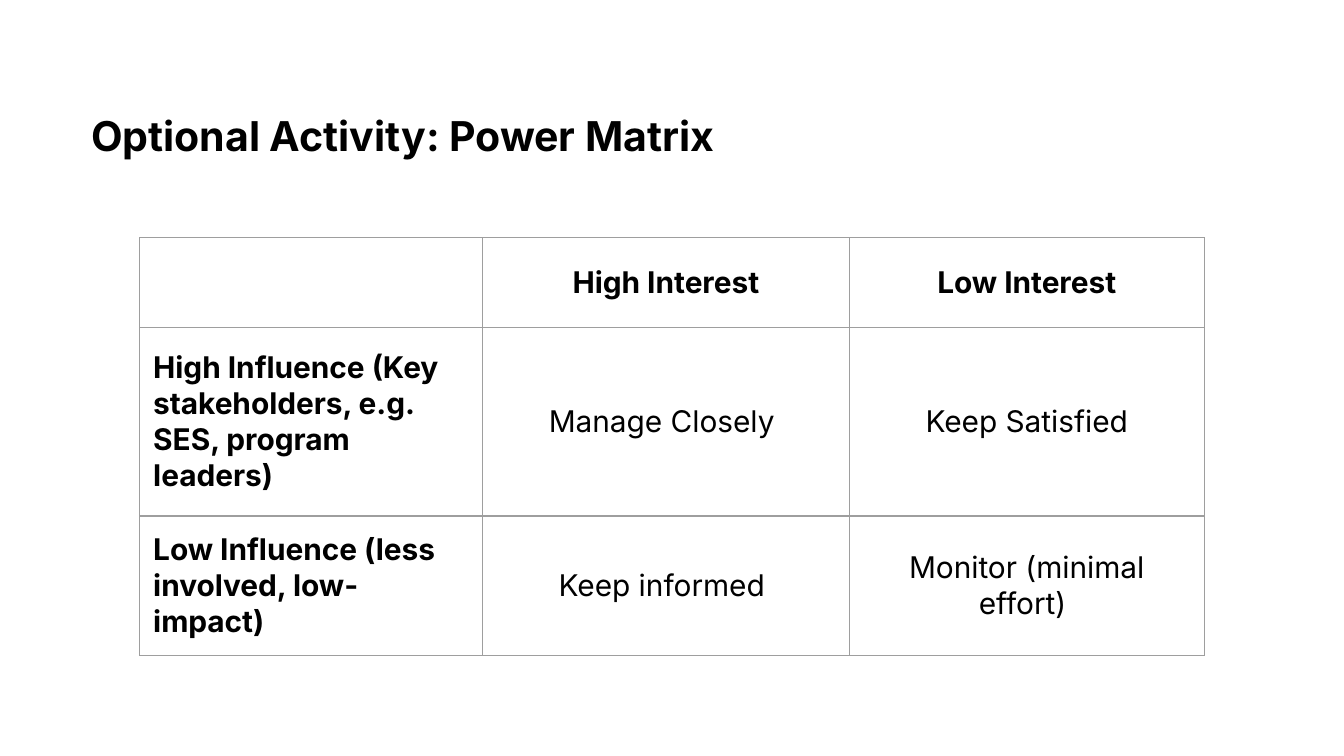
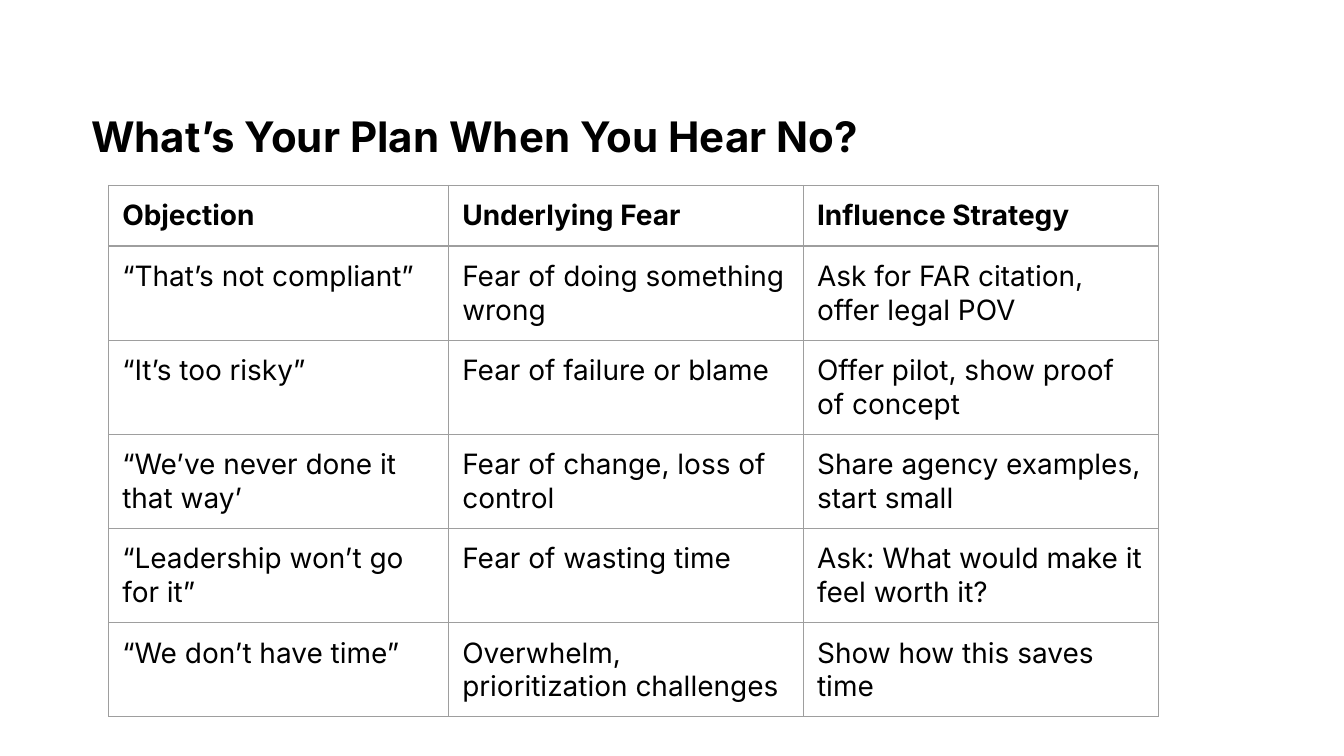
from dataclasses import dataclass

from lxml import etree
from pptx import Presentation
from pptx import util as u
from pptx.dml.color import RGBColor
from pptx.enum import text
from pptx.oxml import ns


@dataclass(frozen=True)
class Theme:
    """Hold the colours, fonts and type sizes of the deck."""
    font: str = "Inter"
    ink: str = "000000"
    rule: str = "9E9E9E"
    line: float = 0.75
    matrix: float = 16
    plan: float = 15


THEME = Theme()
HEAD = (0.58, 0.67, 8.21, 0.6)

MATRIX = [
    ["", "High Interest", "Low Interest"],
    ["High Influence (Key stakeholders, e.g. SES, program leaders)",
     "Manage Closely ", "Keep Satisfied"],
    ["Low Influence (less involved, low-impact)",
     "Keep informed ", "Monitor (minimal effort) "],
]
PLAN = [
    ["Objection", "Underlying Fear", "Influence Strategy"],
    ["“That’s not compliant”", "Fear of doing something wrong",
     "Ask for FAR citation, offer legal POV"],
    ["“It’s too risky”", "Fear of failure or blame",
     "Offer pilot, show proof of concept"],
    ["“We’ve never done it that way’", "Fear of change, loss of control",
     "Share agency examples, start small"],
    ["“Leadership won’t go for it”", "Fear of wasting time",
     "Ask: What would make it feel worth it?"],
    ["“We don’t have time”", "Overwhelm, prioritization challenges",
     "Show how this saves time"],
]


def style(para, size, bold):
    """Format every run of a paragraph."""
    for run in para.runs:
        font = run.font
        font.name, font.size, font.bold = THEME.font, u.Pt(size), bold
        font.color.rgb = RGBColor.from_string(THEME.ink)


def title(slide, box, words, size):
    """Place the slide title in its box."""
    frame = slide.shapes.add_textbox(*map(u.Inches, box)).text_frame
    frame.word_wrap = True
    frame.vertical_anchor = text.MSO_ANCHOR.MIDDLE
    frame.text = words
    para = frame.paragraphs[0]
    para.line_spacing = 1.2
    style(para, size, True)


def border(cell):
    """Rule all four sides of a cell and clear its fill."""
    props = cell._tc.get_or_add_tcPr()
    for side in "LRTB":
        line = etree.SubElement(props, ns.qn(f"a:ln{side}"),
                                w=str(u.Pt(THEME.line)))
        fill = etree.SubElement(line, ns.qn("a:solidFill"))
        etree.SubElement(fill, ns.qn("a:srgbClr"), val=THEME.rule)
    cell.fill.background()


def grid(slide, box, cols, rows, data, size, matrix=False):
    """Draw a ruled table; a matrix has bold row heads and centred cells."""
    frame = slide.shapes.add_table(
        len(rows), len(cols), *map(u.Inches, box))
    table = frame.table
    table.first_row = table.horz_banding = False
    for col, width in zip(table.columns, cols):
        col.width = u.Inches(width)
    for r, (row, height) in enumerate(zip(table.rows, rows)):
        row.height = u.Inches(height)
        for c, cell in enumerate(row.cells):
            cell.margin_left = cell.margin_right = u.Inches(0.1)
            cell.margin_top = cell.margin_bottom = u.Inches(0.1)
            border(cell)
            cell.text = data[r][c]
            para = cell.text_frame.paragraphs[0]
            if matrix:
                cell.vertical_anchor = text.MSO_ANCHOR.MIDDLE
                if c:
                    para.alignment = text.PP_ALIGN.CENTER
            style(para, size, r == 0 or (matrix and c == 0))
    frame.height = u.Inches(box[3])


def main():
    """Build and save both slides."""
    deck = Presentation()
    deck.slide_width = u.Inches(10)
    deck.slide_height = deck.slide_width * 9 // 16
    blank = deck.slide_layouts[6]

    slide = deck.slides.add_slide(blank)
    title(slide, HEAD, "Optional Activity: Power Matrix", 22)
    grid(slide, (1.04, 1.77, 7.92, 3.11), (2.55, 2.73, 2.64),
         (0.67, 1.4, 1.04), MATRIX, THEME.matrix, matrix=True)

    slide = deck.slides.add_slide(blank)
    title(slide, HEAD, "What’s Your Plan When You Hear No?", 22.5)
    grid(slide, (0.81, 1.38, 7.81, 3.95), (2.53, 2.64, 2.64),
         [0.42] * len(PLAN), PLAN, THEME.plan)

    deck.save("out.pptx")


if __name__ == "__main__":
    main()
